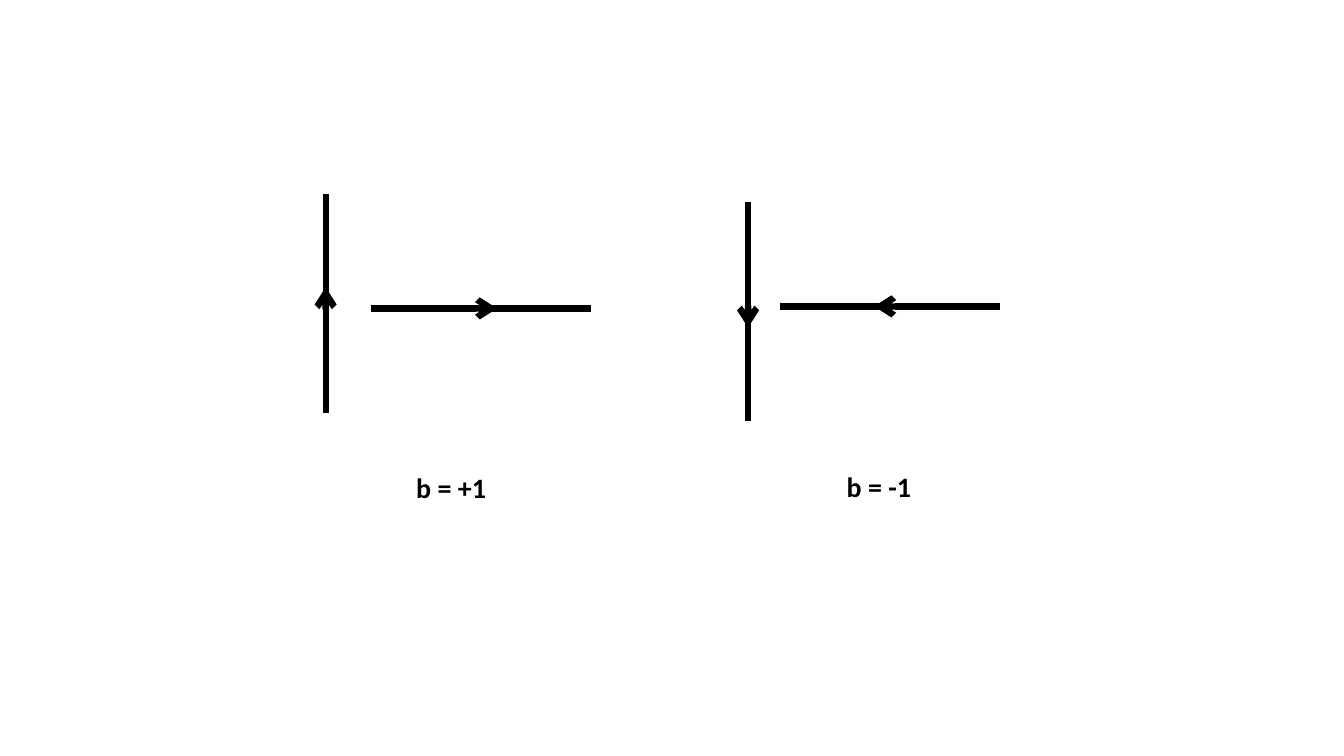
from lxml import etree
from pptx import Presentation
from pptx.dml.color import RGBColor
from pptx.enum import shapes, text
from pptx.oxml import ns
from pptx.util import Inches, Pt

COLORS = {"ink": "000000"}
FONT = "Calibri"

ARROWS = [
    {"start": (3.68, 3.06), "direction": (1, 0)},
    {"start": (3.23, 4.10), "direction": (0, -1)},
    {"start": (9.92, 3.04), "direction": (-1, 0)},
    {"start": (7.42, 2.00), "direction": (0, 1)},
]
LABELS = [("b = +1", 4.03, 4.62), ("b = -1", 8.30, 4.61)]

HEAD_REACH = 1.25
REST_START = 1.18
FULL_LENGTH = 2.18


def add_line(page, start, end, arrowhead):
    line = page.shapes.add_connector(
        shapes.MSO_CONNECTOR.STRAIGHT, *(Inches(value) for value in start + end)
    )
    line.line.width = Pt(4.5)
    line.line.color.rgb = RGBColor.from_string(COLORS["ink"])
    if arrowhead:
        stroke = line.line._get_or_add_ln()
        etree.SubElement(stroke, ns.qn("a:tailEnd"), type="arrow")
    etree.SubElement(line._element.spPr, ns.qn("a:effectLst"))


def add_mid_arrow(page, start, direction):
    def point(distance):
        return tuple(s + d * distance for s, d in zip(start, direction))

    add_line(page, start, point(HEAD_REACH), True)
    add_line(page, point(REST_START), point(FULL_LENGTH), False)


def add_label(page, wording, left, top):
    box = page.shapes.add_textbox(Inches(left), Inches(top), Inches(1), Inches(0.44))
    frame = box.text_frame
    frame.word_wrap = True
    frame.auto_size = text.MSO_AUTO_SIZE.SHAPE_TO_FIT_TEXT
    frame.text = wording
    font = frame.paragraphs[0].runs[0].font
    font.name = FONT
    font.size = Pt(20)
    font.bold = True
    font.color.rgb = RGBColor.from_string(COLORS["ink"])


def main():
    deck = Presentation()
    deck.slide_width = Inches(13.33)
    deck.slide_height = Inches(7.5)
    page = deck.slides.add_slide(deck.slide_layouts.get_by_name("Blank"))
    for arrow in ARROWS:
        add_mid_arrow(page, **arrow)
    for label in LABELS:
        add_label(page, *label)
    deck.save("out.pptx")


if __name__ == "__main__":
    main()
